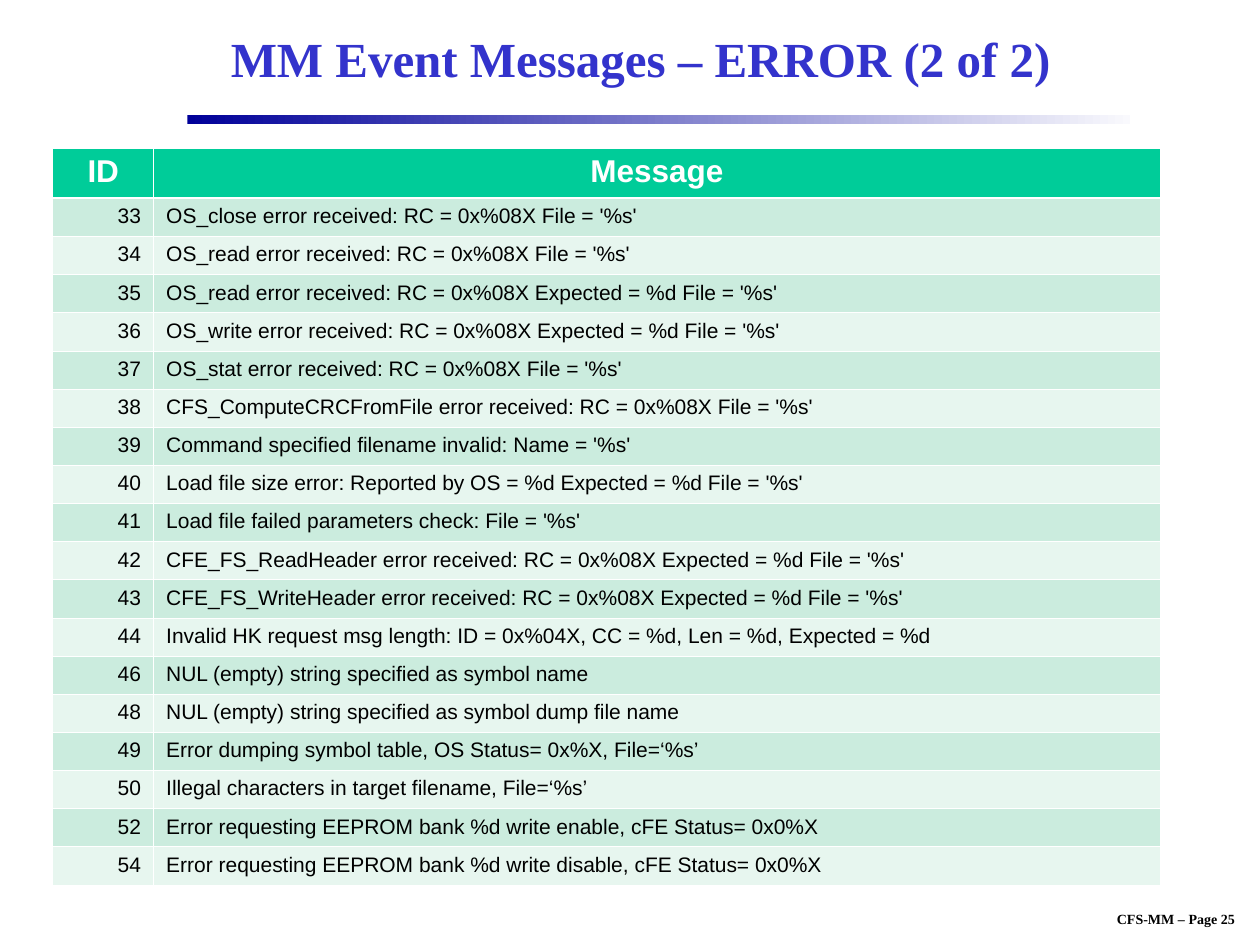
"""Build the MM error event messages slide."""
import pptx
import pptx.dml.color
import pptx.enum.shapes
import pptx.enum.text
import pptx.oxml
import pptx.oxml.ns
import pptx.util

Pt = pptx.util.Pt
RGBColor = pptx.dml.color.RGBColor
ALIGN = pptx.enum.text.PP_ALIGN
ANCHOR = pptx.enum.text.MSO_ANCHOR

BLACK = RGBColor(0x00, 0x00, 0x00)
WHITE = RGBColor(0xFF, 0xFF, 0xFF)
TITLE_BLUE = RGBColor(0x33, 0x33, 0xCC)
NAVY = RGBColor(0x00, 0x00, 0x99)
PALE_BLUE = RGBColor(0xF9, 0xF9, 0xFD)
GREEN = RGBColor(0x00, 0xCC, 0x99)
BANDS = (RGBColor(0xCB, 0xEC, 0xDE), RGBColor(0xE7, 0xF6, 0xEF))

MESSAGES = [
    (33, "OS_close error received: RC = 0x%08X File = '%s'"),
    (34, "OS_read error received: RC = 0x%08X File = '%s'"),
    (35, "OS_read error received: RC = 0x%08X Expected = %d File = '%s'"),
    (36, "OS_write error received: RC = 0x%08X Expected = %d File = '%s'"),
    (37, "OS_stat error received: RC = 0x%08X File = '%s'"),
    (38, "CFS_ComputeCRCFromFile error received: RC = 0x%08X File = '%s'"),
    (39, "Command specified filename invalid: Name = '%s'"),
    (40, "Load file size error: Reported by OS = %d Expected = %d File = '%s'"),
    (41, "Load file failed parameters check: File = '%s'"),
    (42, "CFE_FS_ReadHeader error received: RC = 0x%08X Expected = %d File = '%s'"),
    (43, "CFE_FS_WriteHeader error received: RC = 0x%08X Expected = %d File = '%s'"),
    (44, "Invalid HK request msg length: ID = 0x%04X, CC = %d, Len = %d, Expected = %d"),
    (46, "NUL (empty) string specified as symbol name"),
    (48, "NUL (empty) string specified as symbol dump file name"),
    (49, "Error dumping symbol table, OS Status= 0x%X, File=‘%s’"),
    (50, "Illegal characters in target filename, File=‘%s’"),
    (52, "Error requesting EEPROM bank %d write enable, cFE Status= 0x0%X"),
    (54, "Error requesting EEPROM bank %d write disable, cFE Status= 0x0%X"),
]


class Deck:
    """Hold the style and the current slide."""

    heading_font = "Times New Roman"
    body_font = "Arial"
    thin, thick = 0.45, 1.47

    def __init__(self, prs):
        """Add a title-only slide."""
        self.s = prs.slides.add_slide(prs.slide_layouts[5])

    def add_text(self, tf, text, size, font, color, bold, align):
        """Add one run to the first paragraph of a frame."""
        p = tf.paragraphs[0]
        p.alignment = align
        r = p.add_run()
        r.text = text
        r.font.size = Pt(size)
        r.font.name = font
        r.font.bold = bold
        r.font.color.rgb = color

    def title(self, text, x, y, w, h):
        """Place and fill the title placeholder."""
        sp = self.s.shapes.title
        sp.left, sp.top, sp.width, sp.height = Pt(x), Pt(y), Pt(w), Pt(h)
        tf = sp.text_frame
        tf.word_wrap = True
        tf.auto_size = pptx.enum.text.MSO_AUTO_SIZE.NONE
        tf.vertical_anchor = ANCHOR.MIDDLE
        self.add_text(tf, text, 28, self.heading_font, TITLE_BLUE, True, ALIGN.CENTER)

    def rule(self, x, y, w, h):
        """Draw the fading bar below the title."""
        sp = self.s.shapes.add_shape(
            pptx.enum.shapes.MSO_SHAPE.RECTANGLE, Pt(x), Pt(y), Pt(w), Pt(h))
        sp.shadow.inherit = False
        sp.line.fill.background()
        sp.fill.gradient()
        sp.fill.gradient_angle = 0
        for stop, color in zip(sp.fill.gradient_stops, (NAVY, PALE_BLUE)):
            stop.color.rgb = color

    def footer(self, text, x, y, w, h):
        """Add the page label."""
        tf = self.s.shapes.add_textbox(Pt(x), Pt(y), Pt(w), Pt(h)).text_frame
        tf.word_wrap = False
        tf.auto_size = pptx.enum.text.MSO_AUTO_SIZE.SHAPE_TO_FIT_TEXT
        self.add_text(tf, text, 8, self.heading_font, BLACK, True, ALIGN.CENTER)

    def borders(self, cell, top, bottom):
        """Set white borders on a cell."""
        tcPr = cell._tc.get_or_add_tcPr()
        widths = (("L", self.thin), ("R", self.thin), ("T", top), ("B", bottom))
        for side, width in widths:
            tcPr.append(pptx.oxml.parse_xml(
                f'<a:ln{side} {pptx.oxml.ns.nsdecls("a")} w="{int(Pt(width))}">'
                f'<a:solidFill><a:srgbClr val="{WHITE}"/></a:solidFill></a:ln{side}>'))

    def table(self, header, rows, x, y, widths, header_h, row_h):
        """Add a banded table with a header row."""
        height = header_h + row_h * len(rows)
        tbl = self.s.shapes.add_table(
            len(rows) + 1, len(widths), Pt(x), Pt(y), Pt(sum(widths)), Pt(height)).table
        tbl.first_row = tbl.horz_banding = False
        for col, width in zip(tbl.columns, widths):
            col.width = Pt(width)
        for i, values in enumerate([header, *rows]):
            head = i == 0
            tbl.rows[i].height = Pt(header_h if head else row_h)
            for j, value in enumerate(values):
                cell = tbl.cell(i, j)
                self.borders(cell, self.thick if i == 1 else self.thin,
                             self.thick if head else self.thin)
                cell.fill.solid()
                cell.fill.fore_color.rgb = GREEN if head else BANDS[(i - 1) % 2]
                align = ALIGN.CENTER if head else (ALIGN.RIGHT, ALIGN.LEFT)[j]
                self.add_text(cell.text_frame, str(value), 18 if head else 12,
                              self.body_font, WHITE if head else BLACK, head, align)


def main():
    """Build and save the deck."""
    prs = pptx.Presentation()
    prs.slide_width, prs.slide_height = Pt(720), Pt(540)
    deck = Deck(prs)
    deck.footer("CFS-MM – Page 25", 617, 517, 110, 16.5)
    deck.rule(107, 66, 539, 5)
    deck.title("MM Event Messages – ERROR (2 of 2)", 108, 6, 516, 54)
    deck.table(("ID", "Message"), MESSAGES, 30.2, 84.5, (57.6, 575.2), 28.6, 21.8)
    prs.save("out.pptx")


if __name__ == "__main__":
    main()
